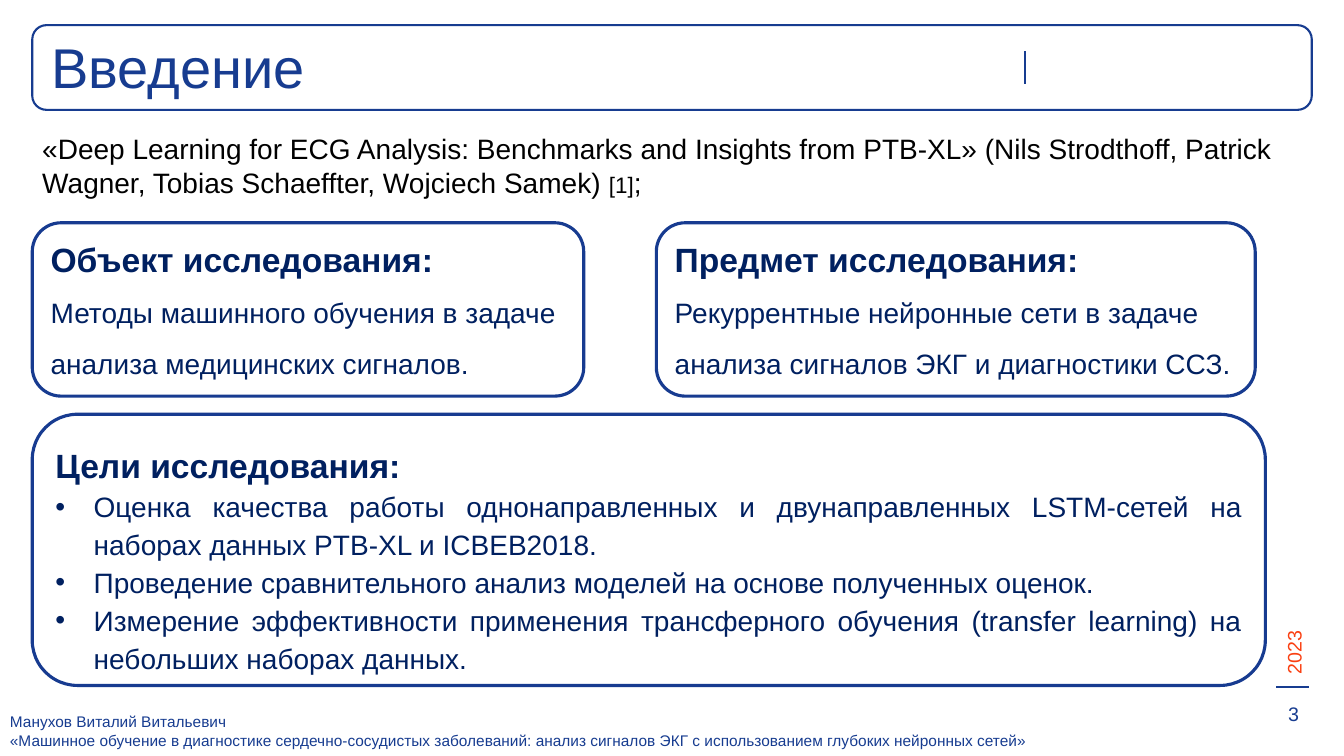
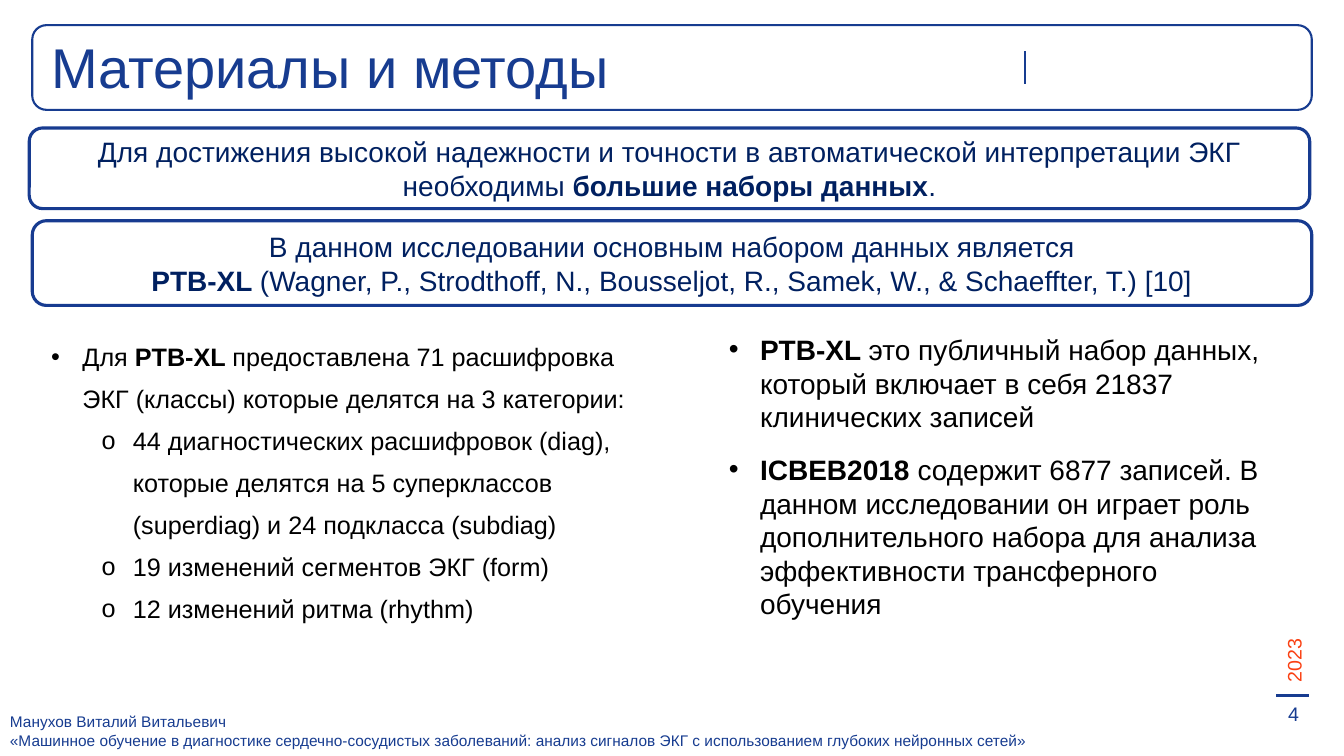
from lxml import etree
from pptx import Presentation
from pptx.dml.color import RGBColor
from pptx.enum.shapes import MSO_CONNECTOR, MSO_SHAPE
from pptx.enum.text import MSO_ANCHOR, MSO_AUTO_SIZE, PP_ALIGN
from pptx.oxml.ns import qn
from pptx.util import Inches, Pt

STRAIGHT = MSO_CONNECTOR.STRAIGHT
ROUNDED = MSO_SHAPE.ROUNDED_RECTANGLE
TOP, MIDDLE = MSO_ANCHOR.TOP, MSO_ANCHOR.MIDDLE
GROW = MSO_AUTO_SIZE.SHAPE_TO_FIT_TEXT
LEFT, CENTER, JUSTIFY = PP_ALIGN.LEFT, PP_ALIGN.CENTER, PP_ALIGN.JUSTIFY

# Shared style
FONT = "Arial"
BLUE, CARD_BLUE, NAVY, ORANGE = "173C90", "173B90", "002060", "FA4012"
BLACK, WHITE = "000000", "FFFFFF"
SLIDE_WIDTH, SLIDE_HEIGHT = 13.33, 7.5
EDGE, CONTENT_WIDTH = 0.32, 12.69
TEXT_LEFT = 0.41
YEAR = "2023"
FOOTER = [
    "Манухов Виталий Витальевич",
    "«Машинное обучение в диагностике сердечно-сосудистых заболеваний: "
    "анализ сигналов ЭКГ с использованием глубоких нейронных сетей»",
]


def item(*runs, **style):
    """A paragraph: runs are strings or (text, bold, size) tuples."""
    return {"runs": runs, **style}


def bold(text, size=None):
    return text, True, size


def heading(text, **style):
    return item(bold(text), size=24, **style)


GOAL = dict(align=JUSTIFY, spacing=Pt(27), bullet="•", indent=0.38)
BAND = dict(align=CENTER, spacing=Pt(24))
LEVEL_1 = dict(size=18, spacing=Pt(30), bullet="•", indent=0.31)
LEVEL_2 = dict(size=18, spacing=Pt(30), bullet="o", indent=0.81, level=1)
FACT = dict(bullet="•", indent=0.31)

# Content: cards are outlined boxes, notes are plain text; each has (left, top, width, height)
SLIDES = [
    {
        "title": "Введение", "number": 3, "rule_top": 6.82,
        "cards": [
            ((EDGE, 2.21, 5.47, 1.72), [
                heading("Объект исследования:"),
                item("Методы машинного обучения в задаче анализа медицинских сигналов.",
                     spacing=1.5)]),
            ((6.51, 2.21, 5.94, 1.72), [
                heading("Предмет исследования:"),
                item("Рекуррентные нейронные сети в задаче анализа сигналов ЭКГ "
                     "и диагностики ССЗ.", spacing=1.5)]),
            ((EDGE, 4.11, 12.23, 2.69), [
                heading("Цели исследования:", align=JUSTIFY, spacing=1.5),
                item("Оценка качества работы однонаправленных и двунаправленных "
                     "LSTM-сетей на наборах данных PTB-XL и ICBEB2018.", **GOAL),
                item("Проведение сравнительного анализ моделей на основе "
                     "полученных оценок.", **GOAL),
                item("Измерение эффективности применения трансферного обучения "
                     "(transfer learning) на небольших наборах данных.", **GOAL)]),
        ],
        "notes": [
            ((EDGE, 1.26, CONTENT_WIDTH, 0.77), [
                item("«Deep Learning for ECG Analysis: Benchmarks and Insights from "
                     "PTB-XL» (Nils Strodthoff, Patrick Wagner, Tobias Schaeffter, "
                     "Wojciech Samek) ", ("[1]", False, 16), ";")]),
        ],
    },
    {
        "title": "Материалы и методы", "number": 4, "rule_top": 6.9,
        "cards": [
            ((0.29, 1.27, 12.7, 0.8), [
                item("Для достижения высокой надежности и точности в автоматической "
                     "интерпретации ЭКГ необходимы ",
                     bold("большие наборы данных"), ".", **BAND)]),
            ((EDGE, 2.19, CONTENT_WIDTH, 0.84), [
                item("В данном исследовании основным набором данных является", **BAND),
                item(bold("PTB-XL "), "(Wagner, P., Strodthoff, N., Bousseljot, R., "
                     "Samek, W., & Schaeffter, T.) [10]", **BAND)]),
        ],
        "notes": [
            ((TEXT_LEFT, 3.22, 6.26, 3), [
                item("Для ", bold("PTB-XL "), "предоставлена 71 расшифровка ЭКГ (классы) "
                     "которые делятся на 3 категории:", **LEVEL_1),
                item("44 диагностических расшифровок (diag), которые делятся на "
                     "5 суперклассов (superdiag) и 24 подкласса (subdiag)", **LEVEL_2),
                item("19 изменений сегментов ЭКГ (form)", **LEVEL_2),
                item("12 изменений ритма (rhythm)", **LEVEL_2)]),
            ((7.13, 3.25, 5.6, 1.11), [
                item(bold("PTB-XL "), "это публичный набор данных, который включает "
                     "в себя 21837 клинических записей", spacing=Pt(24), **FACT)]),
            ((7.13, 4.44, 5.6, 1.78), [
                item(bold("ICBEB2018 "), "содержит 6877 записей. В данном исследовании "
                     "он играет роль дополнительного набора для анализа эффективности "
                     "трансферного обучения", **FACT)]),
        ],
    },
]


def rgb(value):
    return RGBColor.from_string(value)


def add_bullet(paragraph, mark, indent, hanging):
    properties = paragraph._p.get_or_add_pPr()
    properties.set("marL", str(Inches(indent)))
    properties.set("indent", str(-Inches(hanging)))
    etree.SubElement(properties, qn("a:buFont")).set("typeface", FONT)
    etree.SubElement(properties, qn("a:buChar")).set("char", mark)


def write(text_frame, items, color, anchor=TOP):
    text_frame.word_wrap = True
    text_frame.vertical_anchor = anchor
    for index, entry in enumerate(items):
        paragraph = text_frame.add_paragraph() if index else text_frame.paragraphs[0]
        paragraph.alignment = entry.get("align", LEFT)
        paragraph.level = entry.get("level", 0)
        paragraph.line_spacing = entry.get("spacing")
        if "bullet" in entry:
            hanging = 0.31 if paragraph.level else entry["indent"]
            add_bullet(paragraph, entry["bullet"], entry["indent"], hanging)
        for part in entry["runs"]:
            text, is_bold, size = (part, False, None) if isinstance(part, str) else part
            run = paragraph.add_run()
            run.text = text
            run.font.name = FONT
            run.font.size = Pt(size or entry.get("size", 20))
            run.font.bold = is_bold
            run.font.color.rgb = rgb(color)


def add_text(slide, box, items, color):
    shape = slide.shapes.add_textbox(*map(Inches, box))
    write(shape.text_frame, items, color)
    shape.text_frame.auto_size = GROW
    return shape


def add_card(slide, box, line_color, line_width):
    shape = slide.shapes.add_shape(ROUNDED, *map(Inches, box))
    shape.shadow.inherit = False
    shape.fill.solid()
    shape.fill.fore_color.rgb = rgb(WHITE)
    shape.line.color.rgb = rgb(line_color)
    shape.line.width = Pt(line_width)
    return shape


def add_rule(slide, left, top, width, height):
    ends = map(Inches, (left, top, left + width, top + height))
    rule = slide.shapes.add_connector(STRAIGHT, *ends)
    rule.line.color.rgb = rgb(BLUE)
    rule.line.width = Pt(1.5)
    etree.SubElement(rule._element.spPr, qn("a:effectLst"))


def add_frame(slide, title, number, rule_top):
    """Title band, footer, year and page number."""
    add_card(slide, (EDGE, 0.25, CONTENT_WIDTH, 0.84), BLUE, 1.5)
    add_text(slide, (TEXT_LEFT, 0.27, 7.22, 0.77), [item(title, size=40)], BLUE)
    add_rule(slide, 10.17, 0.51, 0, 0.32)

    year = add_text(slide, (12.23, rule_top - 0.81, 1.21, 0.34), [item(YEAR, size=14)], ORANGE)
    year.rotation = 270
    add_rule(slide, 12.66, rule_top, 0.32, 0)
    add_text(slide, (12.66, 6.91, 0.34, 0.34),
             [item(str(number), size=14, align=CENTER)], BLUE)
    add_text(slide, (0, 7.02, 12.62, 0.47), [item(line, size=11) for line in FOOTER], BLUE)


def main():
    presentation = Presentation()
    presentation.slide_width = Inches(SLIDE_WIDTH)
    presentation.slide_height = Inches(SLIDE_HEIGHT)
    blank = presentation.slide_layouts[6]
    for content in SLIDES:
        slide = presentation.slides.add_slide(blank)
        add_frame(slide, content["title"], content["number"], content["rule_top"])
        for box, items in content["cards"]:
            card = add_card(slide, box, CARD_BLUE, 2.25)
            write(card.text_frame, items, NAVY, MIDDLE)
        for box, items in content["notes"]:
            add_text(slide, box, items, BLACK)
    presentation.save("out.pptx")


if __name__ == "__main__":
    main()
